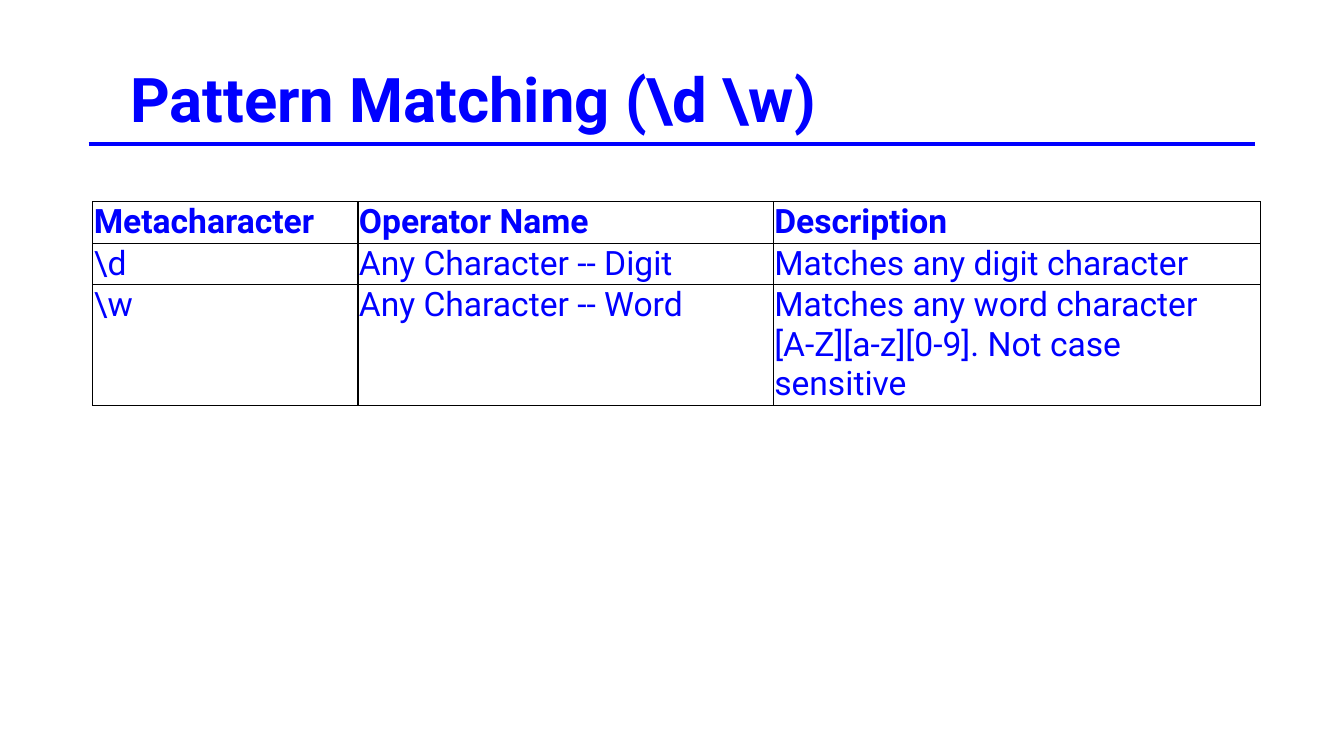
from lxml.etree import SubElement
from pptx import Presentation
from pptx.dml.color import RGBColor
from pptx.enum.shapes import MSO_CONNECTOR
from pptx.enum.text import MSO_ANCHOR, MSO_AUTO_SIZE, PP_ALIGN
from pptx.oxml import parse_xml
from pptx.oxml.ns import nsdecls, qn
from pptx.util import Inches, Pt

COLORS = {"blue": "0000FF", "white": "FFFFFF", "black": "000000"}
FONT = "Roboto"


def style_text(para, size, bold):
    para.alignment = PP_ALIGN.LEFT
    for span in para.runs:
        span.font.name = FONT
        span.font.size = Pt(size)
        span.font.bold = bold
        span.font.color.rgb = RGBColor.from_string(COLORS["blue"])


deck = Presentation()
deck.slide_width = Inches(13.33)
deck.slide_height = Inches(7.5)
page = deck.slides.add_slide(deck.slide_layouts[5])

# Title
title = page.shapes.title
title.left, title.top = Inches(1.19), Inches(0.51)
title.width, title.height = Inches(10.89), Inches(0.77)
title.fill.solid()
title.fill.fore_color.rgb = RGBColor.from_string(COLORS["white"])
frame = title.text_frame
frame.text = r"Pattern Matching (\d \w)"
frame.word_wrap = True
frame.auto_size = MSO_AUTO_SIZE.NONE
frame.vertical_anchor = MSO_ANCHOR.TOP
frame.margin_top, frame.margin_bottom = Inches(0.09), Inches(0)
style_text(frame.paragraphs[0], 44, True)

# Rule under the title
rule = page.shapes.add_connector(
    MSO_CONNECTOR.STRAIGHT, Inches(0.88), Inches(1.43), Inches(12.45), Inches(1.43))
rule.line.color.rgb = RGBColor.from_string(COLORS["blue"])
rule.line.width = Pt(3)
SubElement(rule.element.spPr, qn("a:effectLst"))

# Metacharacter table
rows = [
    ["Metacharacter", "Operator Name", "Description"],
    [r"\d", "Any Character -- Digit", "Matches any digit character"],
    [r"\w", "Any Character -- Word",
     "Matches any word character\n[A-Z][a-z][0-9]. Not case sensitive"],
]
column_widths = [2.63, 4.12, 4.83]
row_heights = [0.41, 0.41, 1.2]
table = page.shapes.add_table(
    len(rows), len(column_widths), Inches(0.92), Inches(2),
    Inches(sum(column_widths)), Inches(sum(row_heights))).table
table.horz_banding = False
for column, width in zip(table.columns, column_widths):
    column.width = Inches(width)

for row_index, (texts, height) in enumerate(zip(rows, row_heights)):
    table.rows[row_index].height = Inches(height)
    is_header = row_index == 0
    for column_index, text in enumerate(texts):
        cell = table.cell(row_index, column_index)
        cell.text_frame.text = text
        cell.vertical_anchor = MSO_ANCHOR.BOTTOM if is_header else MSO_ANCHOR.TOP
        cell.margin_left = cell.margin_right = Inches(0.01)
        cell.margin_top = cell.margin_bottom = Inches(0.01)
        for para in cell.text_frame.paragraphs:
            style_text(para, 24, is_header)
        # Borders come before the fill in the cell properties
        properties = cell._tc.get_or_add_tcPr()
        for side in ("lnL", "lnR", "lnT", "lnB"):
            properties.append(parse_xml(
                f'<a:{side} {nsdecls("a")} w="{Pt(1)}"><a:solidFill>'
                f'<a:srgbClr val="{COLORS["black"]}"/></a:solidFill></a:{side}>'))
        cell.fill.background()

deck.save("out.pptx")
